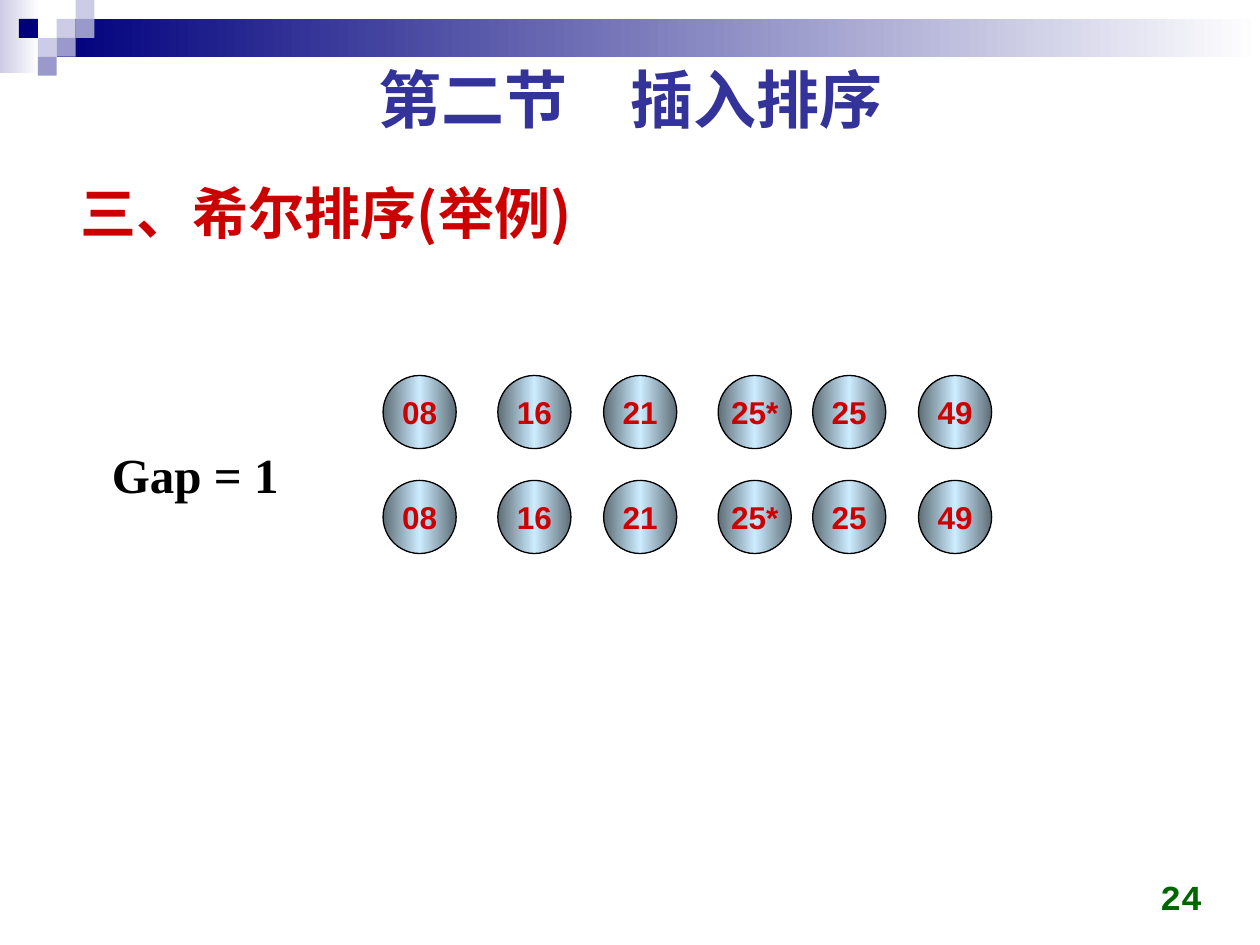
from lxml import etree
from pptx import Presentation
from pptx.dml.color import RGBColor
from pptx.enum.shapes import MSO_SHAPE
from pptx.enum.text import MSO_ANCHOR, PP_ALIGN
from pptx.oxml.ns import qn
from pptx.util import Inches, Pt

RECT, OVAL = MSO_SHAPE.RECTANGLE, MSO_SHAPE.OVAL
TOP, MIDDLE, BOTTOM = MSO_ANCHOR.TOP, MSO_ANCHOR.MIDDLE, MSO_ANCHOR.BOTTOM
LEFT, CENTER, RIGHT = PP_ALIGN.LEFT, PP_ALIGN.CENTER, PP_ALIGN.RIGHT

CELL = 0.15  # inches per grid column and row
COLUMNS, ROWS = 10 / CELL, 7.5 / CELL
CJK_FONT = "Noto Sans CJK SC"
NAVY, LILAC, VIOLET, WHITE = "00007D", "CCCCE6", "9999CC", "FFFFFF"
RED, STEEL, SKY = "CC0000", "5E6D76", "CCECFF"


def color(hex_string):
    return RGBColor.from_string(hex_string)


def grid(*cells):
    return [Inches(cell * CELL) for cell in cells]


def paint(shape, *colors):
    """Fill with one colour, or with evenly spaced stops from left to right."""
    if len(colors) == 1:
        shape.fill.solid()
        shape.fill.fore_color.rgb = color(colors[0])
        return
    shape.fill.gradient()
    shape.fill.gradient_angle = 0
    stops = shape._element.spPr.find(qn("a:gradFill")).find(qn("a:gsLst"))
    for stop in list(stops):
        stops.remove(stop)
    for index, hex_string in enumerate(colors):
        position = 100000 * index // (len(colors) - 1)
        stop = etree.SubElement(stops, qn("a:gs"), pos=str(position))
        etree.SubElement(stop, qn("a:srgbClr"), val=hex_string)


def add_figure(slide, kind, box, *colors):
    figure = slide.shapes.add_shape(kind, *grid(*box))
    figure.shadow.inherit = False
    figure.line.fill.background()
    paint(figure, *colors)
    return figure


def write(shape, text, size, font, hex_string, align=LEFT, anchor=TOP, wrap=True):
    frame = shape.text_frame
    frame.word_wrap = wrap
    frame.vertical_anchor = anchor
    paragraph = frame.paragraphs[0]
    paragraph.alignment = align
    run = paragraph.add_run()
    run.text = text
    run.font.size = Pt(size)
    run.font.bold = True
    run.font.name = font
    run.font.color.rgb = color(hex_string)
    etree.SubElement(run.font._element, qn("a:ea"), typeface=CJK_FONT)


def add_label(slide, box, *text, **layout):
    write(slide.shapes.add_textbox(*grid(*box)), *text, **layout)


def add_header(slide, left, top, width):
    add_figure(slide, RECT, (left, top, 2.07, 3.87), LILAC, WHITE)
    add_figure(slide, RECT, (left + 3, top + 1, width - 3, 2), NAVY, WHITE)
    mosaic = [(3, 1, LILAC), (4, 0, LILAC), (4, 1, VIOLET), (2, 2, LILAC),
              (1, 1, NAVY), (3, 2, VIOLET), (2, 3, VIOLET)]
    for column, row, hex_string in mosaic:
        add_figure(slide, RECT, (left + column, top + row, 1, 1), hex_string)


def add_sorting_pass(slide, left, top, keys):
    """Draw one row of keys as balls, spaced as in the passes of the sort."""
    offsets = (0, 6.07, 11.67, 17.73, 22.73, 28.33)
    for offset, key in zip(offsets, keys):
        ball = add_figure(slide, OVAL, (left + offset, top, 3.87, 3.87),
                          STEEL, SKY, STEEL)
        ball.line.color.rgb = color("000000")
        ball.line.width = Pt(0.75)
        write(ball, key, 18, "Arial", RED, align=CENTER, anchor=MIDDLE, wrap=False)


def add_gap_example(slide, left, top):
    add_label(slide, (left, top + 3.33, 10.13, 3.8), "Gap = 1", 28,
              "Times New Roman", "000000", wrap=False)
    keys = ("08", "16", "21", "25*", "25", "49")
    for row in range(2):
        add_sorting_pass(slide, left + 15, top + row * 5.55, keys)


def main():
    deck = Presentation()
    deck.slide_width, deck.slide_height = grid(COLUMNS, ROWS)
    slide = deck.slides.add_slide(deck.slide_layouts[6])
    add_header(slide, 0, 0, COLUMNS)
    add_label(slide, (3.6, 8.73, 41.67, 5), "三、希尔排序(举例)", 32,
              CJK_FONT, RED, anchor=MIDDLE)
    add_gap_example(slide, 5.27, 19.87)
    add_label(slide, (2.53, 2.87, 61.67, 4.67), "第二节　插入排序", 36,
              "Cabin", "333399", align=CENTER)
    add_label(slide, (48.73, 45.53, 15.53, 3.33), "24", 20,
              "Courier New", "006600", align=RIGHT, anchor=BOTTOM)
    deck.save("out.pptx")


if __name__ == "__main__":
    main()
